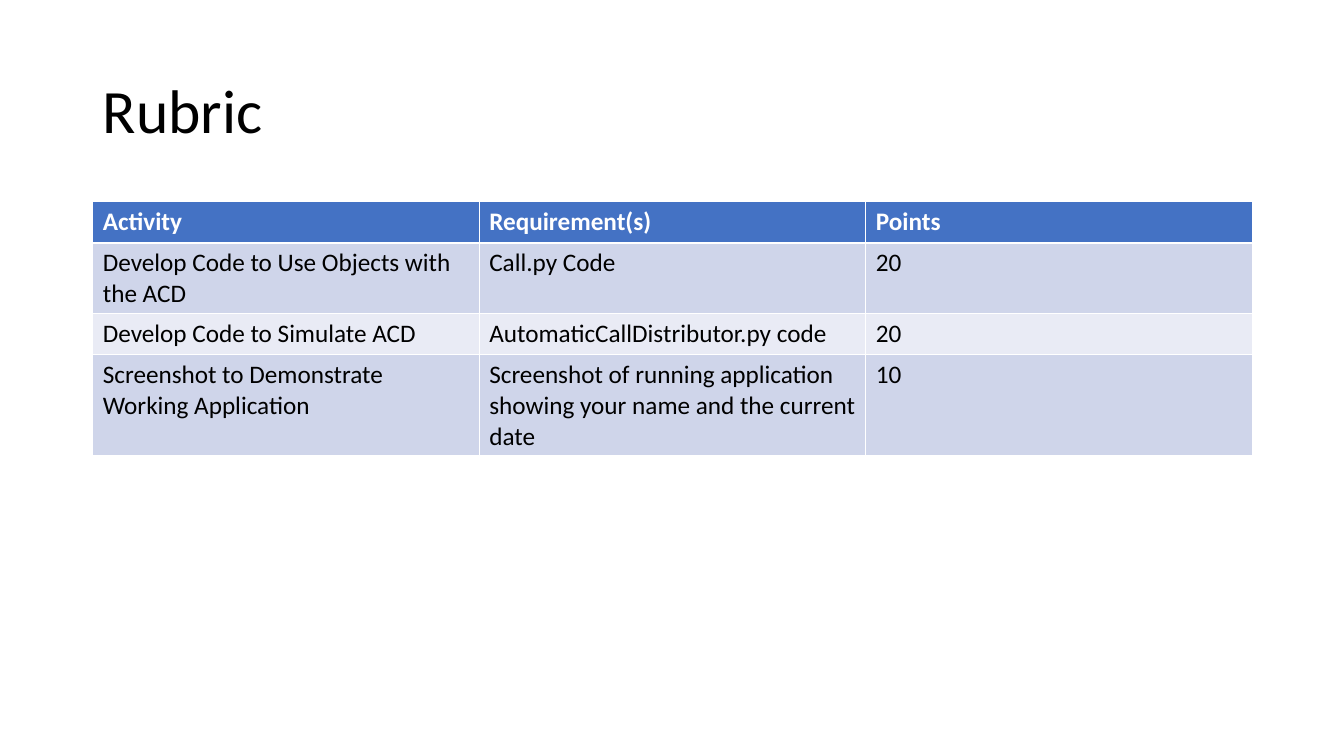
import pptx
import pptx.util
import pptx.dml.color
import pptx.enum.text

Inches = pptx.util.Inches
colors = {
    "head": "4472C4",
    "odd": "CFD5EA",
    "even": "E9EBF5",
    "white": "FFFFFF",
    "black": "000000",
}


def write(frame, text, size=18, color="black", bold=False, spacing=1.0):
    frame.word_wrap = True
    para = frame.paragraphs[0]
    para.line_spacing = spacing
    run = para.add_run()
    run.text = text
    run.font.name = "Calibri"
    run.font.size = pptx.util.Pt(size)
    run.font.bold = bold
    run.font.color.rgb = pptx.dml.color.RGBColor.from_string(colors[color])


deck = pptx.Presentation()
deck.slide_width = Inches(13.33)
deck.slide_height = Inches(7.5)
slide = deck.slides.add_slide(deck.slide_layouts[6])

left, width = Inches(0.92), Inches(11.5)
title = slide.shapes.add_textbox(left, Inches(0.4), width, Inches(1.45))
title.text_frame.vertical_anchor = pptx.enum.text.MSO_ANCHOR.MIDDLE
write(title.text_frame, "Rubric", size=44, spacing=0.9)

rubric = [
    ("Activity", "Requirement(s)", "Points"),
    ("Develop Code to Use Objects with the ACD", "Call.py Code", "20"),
    ("Develop Code to Simulate ACD", "AutomaticCallDistributor.py code", "20"),
    (
        "Screenshot to Demonstrate Working Application",
        "Screenshot of running application showing your name and the current date",
        "10",
    ),
]
heights = [0.41, 0.7, 0.41, 1]

table = slide.shapes.add_table(
    len(rubric), len(rubric[0]), left, Inches(2), width, Inches(sum(heights))
).table
for row, (texts, height) in enumerate(zip(rubric, heights)):
    table.rows[row].height = Inches(height)
    header = row == 0
    shade = "head" if header else "odd" if row % 2 else "even"
    for col, text in enumerate(texts):
        cell = table.cell(row, col)
        cell.fill.solid()
        cell.fill.fore_color.rgb = pptx.dml.color.RGBColor.from_string(colors[shade])
        write(cell.text_frame, text, color="white" if header else "black", bold=header)

deck.save("out.pptx")
